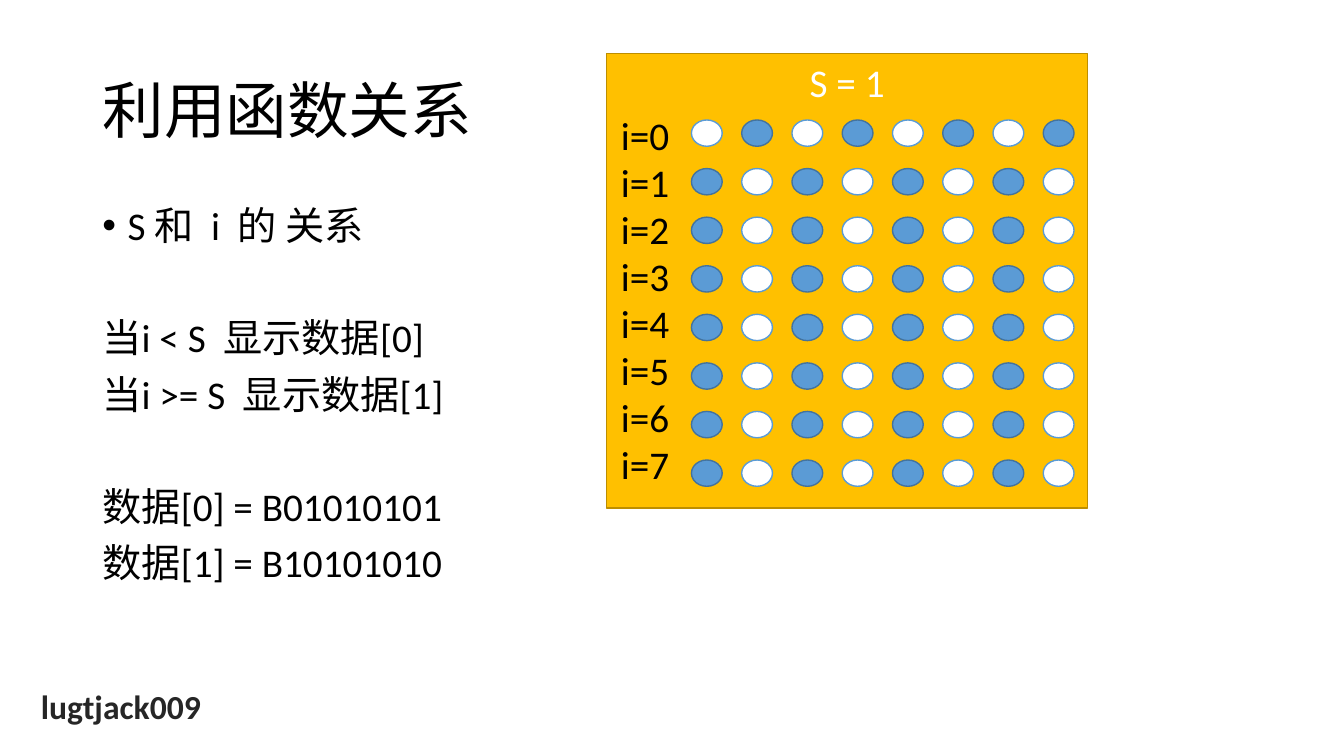
from pptx import Presentation
from pptx.dml.color import RGBColor
from pptx.enum.shapes import MSO_SHAPE
from pptx.enum.text import MSO_ANCHOR, MSO_AUTO_SIZE, PP_ALIGN
from pptx.oxml.ns import qn
from pptx.util import Pt
from lxml import etree

RECT, OVAL = MSO_SHAPE.RECTANGLE, MSO_SHAPE.OVAL
TOP, MIDDLE = MSO_ANCHOR.TOP, MSO_ANCHOR.MIDDLE
LEFT, CENTER = PP_ALIGN.LEFT, PP_ALIGN.CENTER
FIXED = MSO_AUTO_SIZE.NONE

SPLIT = 1
DATA = ["01010101", "10101010"]
DOTS = {"0": ("FFFFFF", "5B9BD5"), "1": ("5B9BD5", "43739E")}
LINES = [
    ("S 和  i  的 关系", 10),
    ("当i < S  显示数据[0]", 50),
    ("当i >= S  显示数据[1]", 10),
    ("数据[0] = B01010101", 50),
    ("数据[1] = B10101010", 10),
]


def color(code):
    return RGBColor.from_string(code)


def place(shape, box):
    shape.left, shape.top, shape.width, shape.height = map(Pt, box)


def write(frame, lines, size, code, align=LEFT, anchor=TOP, wrap=True):
    frame.text = "\n".join(lines)
    frame.word_wrap = wrap
    frame.auto_size = FIXED
    frame.vertical_anchor = anchor
    for para in frame.paragraphs:
        para.alignment = align
        para.font.name = "Calibri"
        para.font.size = Pt(size)
        para.font.color.rgb = color(code)


def draw(group, kind, box, fill, line):
    shape = group.shapes.add_shape(kind, *map(Pt, box))
    shape.shadow.inherit = False
    shape.fill.solid()
    shape.fill.fore_color.rgb = color(fill)
    shape.line.color.rgb = color(line)
    shape.line.width = Pt(1)
    return shape


def bullet(para, char):
    props = para._p.get_or_add_pPr()
    indent = Pt(18) if char else 0
    props.set("marL", str(indent))
    props.set("indent", str(-indent))
    if char:
        etree.SubElement(props, qn("a:buChar")).set("char", char)
    else:
        etree.SubElement(props, qn("a:buNone"))


def add_title(slide, box):
    title = slide.shapes.title
    place(title, box)
    write(title.text_frame, ["利用函数关系"], 44, "000000", anchor=MIDDLE)
    title.text_frame.paragraphs[0].line_spacing = 0.9


def add_body(slide, box):
    body = slide.placeholders[1]
    place(body, box)
    frame = body.text_frame
    write(frame, [text for text, gap in LINES], 28, "000000")
    for row, (para, (text, gap)) in enumerate(zip(frame.paragraphs, LINES)):
        para.line_spacing = 0.9
        para.space_before = Pt(gap)
        bullet(para, "" if row else "•")


def add_panel(slide, box):
    left, top, width, height = box
    group = slide.shapes.add_group_shape()
    panel = draw(group, RECT, box, "FFC000", "BD8E00")
    write(panel.text_frame, [f"S = {SPLIT}"], 28, "FFFFFF", CENTER)
    for row in range(8):
        for col, bit in enumerate(DATA[row >= SPLIT]):
            spot = (left + 60.5 + 35.9 * col, top + 47.5 + 34.7 * row, 22, 18.8)
            draw(group, OVAL, spot, *DOTS[bit])
    label = group.shapes.add_textbox(*map(Pt, (left + 3, top + 37.5, 49.5, 278.6)))
    label.fill.solid()
    label.fill.fore_color.rgb = color("FFC000")
    names = [f"i={row}" for row in range(8)]
    write(label.text_frame, names, 28, "000000", wrap=False)


def add_footer(slide, box):
    footer = slide.shapes.add_textbox(*map(Pt, box))
    write(footer.text_frame, ["lugtjack009"], 24, "262626", CENTER, wrap=False)
    footer.text_frame.paragraphs[0].font.bold = True


def main():
    deck = Presentation()
    deck.slide_width, deck.slide_height = Pt(960), Pt(540)
    slide = deck.slides.add_slide(deck.slide_layouts[1])
    add_footer(slide, (21.6, 486.7, 129.6, 36))
    add_title(slide, (66, 28.8, 828, 104.4))
    add_body(slide, (66, 144, 828, 342.7))
    add_panel(slide, (433.4, 38.2, 343.4, 324.7))
    deck.save("out.pptx")


if __name__ == "__main__":
    main()
